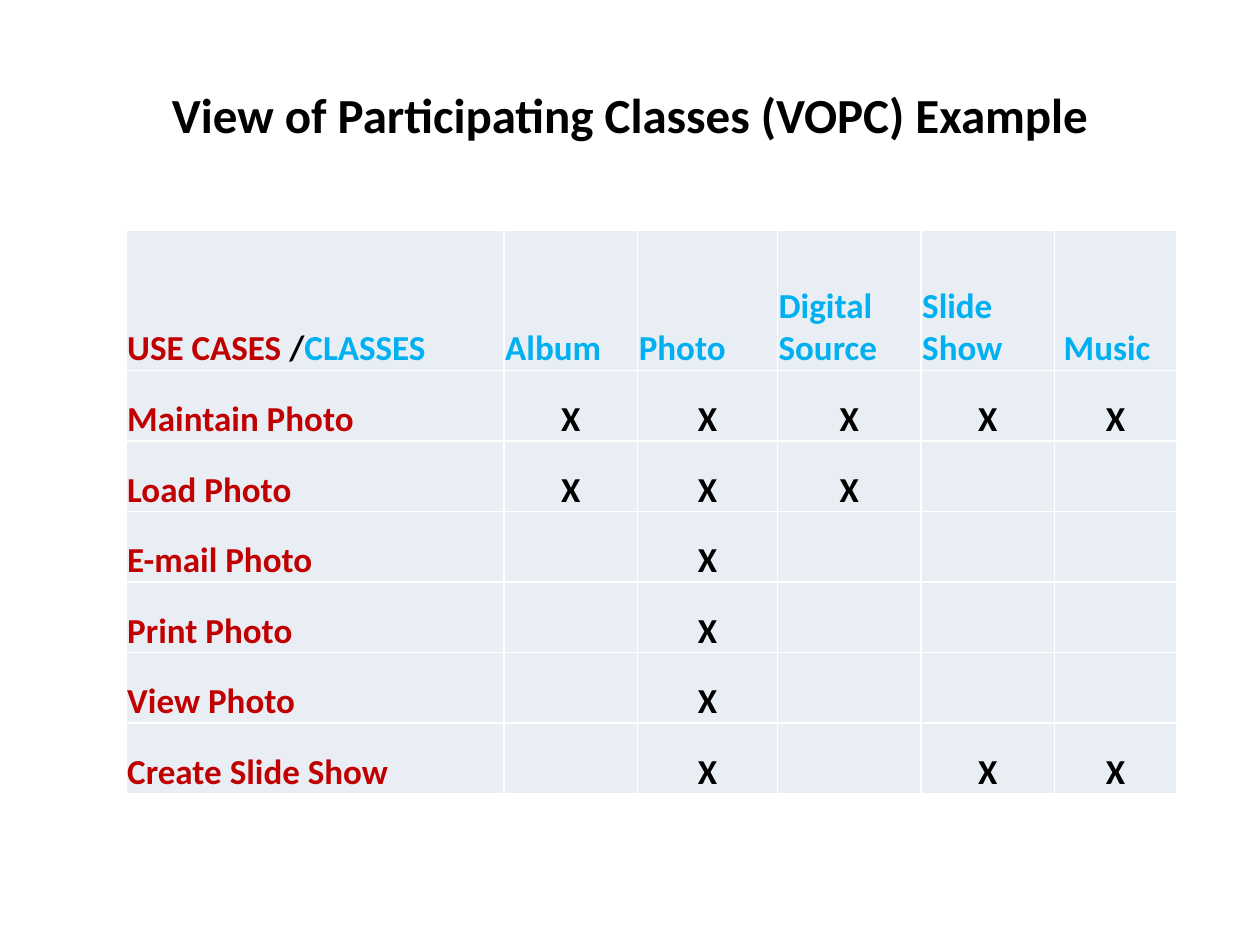
from lxml import etree
from pptx import Presentation
from pptx.dml.color import RGBColor as RGB
from pptx.enum.text import MSO_ANCHOR as ANCHOR, PP_ALIGN as ALIGN
from pptx.oxml.ns import qn
from pptx.util import Inches, Pt

COLORS = {"text": "000000", "use_case": "C00000", "class": "00B0F0",
          "cell": "E9EDF4", "border": "FFFFFF"}
CELL_FORMAT = {"vertical_anchor": ANCHOR.BOTTOM, "margin_left": Inches(0.01),
               "margin_right": Inches(0.01), "margin_top": Inches(0.01),
               "margin_bottom": 0}
CLASSES = ["Album", "Photo", "Digital Source", "Slide Show", " Music"]
USE_CASES = {
    "Maintain Photo": [1, 2, 3, 4, 5],
    "Load Photo": [1, 2, 3],
    "E-mail Photo": [2],
    "Print Photo": [2],
    "View Photo": [2],
    "Create Slide Show": [2, 4, 5],
}
COL_WIDTHS = [3, 1.06, 1.11, 1.14, 1.06, 0.97]
HEADER_HEIGHT, ROW_HEIGHT = 1.11, 0.56


def set_format(obj, values):
    for name, value in values.items():
        setattr(obj, name, value)


class SlideBuilder:
    def __init__(self, slide, font="Calibri"):
        self.slide = slide
        self.font = font

    def add_runs(self, tf, runs, size, align=ALIGN.LEFT):
        """Fill the first paragraph with (text, colour name) runs."""
        p = tf.paragraphs[0]
        p.alignment = align
        for text, color in runs:
            r = p.add_run()
            r.text = text
            set_format(r.font, {"name": self.font, "size": Pt(size), "bold": True})
            r.font.color.rgb = RGB.from_string(COLORS[color])

    def title(self, text, left, top, width, height):
        box = self.slide.shapes.add_textbox(*map(Inches, (left, top, width, height)))
        tf = box.text_frame
        set_format(tf, {"word_wrap": True, "vertical_anchor": ANCHOR.MIDDLE})
        self.add_runs(tf, [(text, "text")], 28, ALIGN.CENTER)

    def table(self, left, top, widths, heights):
        frame = self.slide.shapes.add_table(
            len(heights), len(widths),
            *map(Inches, (left, top, sum(widths), sum(heights))))
        table = frame.table
        for col, width in zip(table.columns, widths):
            col.width = Inches(width)
        for row, height in zip(table.rows, heights):
            row.height = Inches(height)
        for cell in table.iter_cells():
            self.style_cell(cell)
        return table

    def style_cell(self, cell):
        set_format(cell, CELL_FORMAT)
        tc_pr = cell._tc.get_or_add_tcPr()
        for side in ("a:lnL", "a:lnR", "a:lnT", "a:lnB"):
            ln = etree.SubElement(tc_pr, qn(side), w=str(Pt(1)))
            fill = etree.SubElement(ln, qn("a:solidFill"))
            etree.SubElement(fill, qn("a:srgbClr"), val=COLORS["border"])
        cell.fill.solid()
        cell.fill.fore_color.rgb = RGB.from_string(COLORS["cell"])

    def cell_text(self, cell, *runs, align=ALIGN.LEFT):
        self.add_runs(cell.text_frame, runs, 20, align)


def main():
    prs = Presentation()
    set_format(prs, {"slide_width": Inches(10), "slide_height": Inches(7.5)})
    s = SlideBuilder(prs.slides.add_slide(prs.slide_layouts[6]))

    s.title("View of Participating Classes (VOPC) Example", 0.5, 0.32, 9, 1.17)

    heights = [HEADER_HEIGHT] + [ROW_HEIGHT] * len(USE_CASES)
    table = s.table(1, 1.83, COL_WIDTHS, heights)
    s.cell_text(table.cell(0, 0), ("USE CASES ", "use_case"), ("/", "text"),
                ("CLASSES", "class"))
    for col, name in enumerate(CLASSES, 1):
        s.cell_text(table.cell(0, col), (name, "class"))
    for row, (use_case, marked) in enumerate(USE_CASES.items(), 1):
        s.cell_text(table.cell(row, 0), (use_case, "use_case"))
        for col in marked:
            s.cell_text(table.cell(row, col), ("X", "text"), align=ALIGN.CENTER)

    prs.save("out.pptx")


if __name__ == "__main__":
    main()
